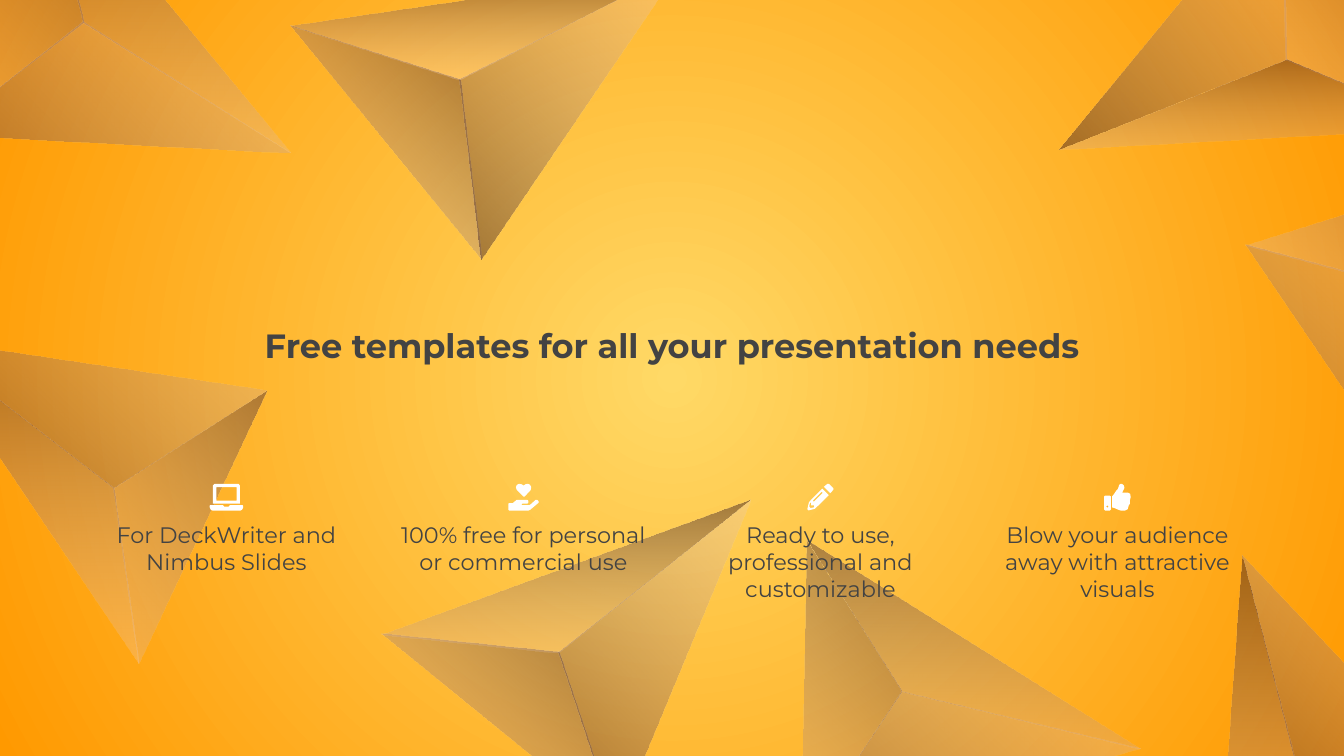
"""Build a golden slide with floating pyramids, a title and four captioned icons."""
from dataclasses import dataclass
from math import cos, radians, sin

from lxml.etree import SubElement
from pptx import Presentation
from pptx.dml.color import RGBColor
from pptx.enum.text import MSO_ANCHOR, MSO_AUTO_SIZE, PP_ALIGN
from pptx.oxml.ns import qn
from pptx.util import Pt


@dataclass(frozen=True)
class Theme:
    font: str = "Montserrat"
    title_size: float = 18
    caption_size: float = 12
    text: str = "434343"
    icon: str = "FFFFFF"
    background: tuple = (("FFD966", 100), ("FF9900", 100))
    face: tuple = (("FFE6F2", 22), ("1D0216", 42))


def set_gradient(fill, element, colours):
    fill.gradient()
    gradient = next(element.iter(qn("a:gradFill")))
    for stop, (colour, opacity) in zip(fill.gradient_stops, colours):
        stop.color.rgb = RGBColor.from_string(colour)
    for colour_element, (colour, opacity) in zip(gradient.iter(qn("a:srgbClr")), colours):
        if opacity < 100:
            SubElement(colour_element, qn("a:alpha"), val=str(opacity * 1000))
    return gradient


def draw_outline(slide, contours, left, top):
    builder = slide.shapes.build_freeform(Pt(contours[0][0][0]), Pt(contours[0][0][1]))
    for contour in contours:
        points = [(Pt(x), Pt(y)) for x, y in contour]
        if contour is not contours[0]:
            builder.move_to(*points[0])
        builder.add_line_segments(points[1:], close=True)
    shape = builder.convert_to_shape(Pt(left), Pt(top))
    shape.shadow.inherit = False
    shape.line.fill.background()
    return shape


theme = Theme()
presentation = Presentation()
presentation.slide_width = Pt(720)
presentation.slide_height = Pt(405)
slide = presentation.slides.add_slide(presentation.slide_layouts[5])

background = set_gradient(slide.background.fill, slide.element, theme.background)
background.remove(background.find(qn("a:lin")))
circle = SubElement(background, qn("a:path"), path="circle")
SubElement(circle, qn("a:fillToRect"), l="50000", t="50000", r="50000", b="50000")

west, south, apex, east = (-104, -47.5), (-1.8, 77.8), (-13.3, -18.7), (104, -77.8)
faces = [((west, south, apex), 315), ((south, east, apex), 135), ((west, apex, east), 270)]
pyramids = [
    (719.3, 416, 282.3, faces[1:]),
    (259.6, 61.2, 0, faces),
    (35.3, 32.8, 58.8, faces),
    (677.5, 12, 185.1, faces),
    (738.7, 161.6, 111.7, faces),
    (72, 241.2, 244.3, faces),
    (316, 365, 348.3, faces),
    (481.2, 393.2, 40.2, faces),
]
for center_x, center_y, rotation, visible_faces in pyramids:
    cosine, sine = cos(radians(rotation)), sin(radians(rotation))
    for points, angle in visible_faces:
        x, y = [(min(values) + max(values)) / 2 for values in zip(*points)]
        left = center_x + x * cosine - y * sine - x
        top = center_y + x * sine + y * cosine - y
        shape = draw_outline(slide, [points], left, top)
        shape.rotation = rotation
        gradient = set_gradient(shape.fill, shape.element, theme.face)
        gradient.set("rotWithShape", "0")
        shape.fill.gradient_angle = 360 - angle

laptop = [
    [(3.6, 1.8), (14.4, 1.8), (14.4, 9), (3.6, 9)],
    [(2.6, 0), (1.8, 0.9), (1.8, 10.6), (16.2, 10.6), (16.2, 0.9), (15.4, 0)],
    [(0.3, 11.5), (0, 11.8), (0, 12.6), (0.6, 13.9), (1.6, 14.4), (16.4, 14.4), (17.4, 13.9),
     (18, 12.6), (18, 11.8), (17.7, 11.5), (10.8, 11.5), (10.2, 12.3), (7.8, 12.3), (7.2, 11.5)],
]
giving_hand = [
    [(5.8, 0), (4.6, 0.6), (4.1, 1.8), (4.5, 3.2), (8.1, 6.9), (8.7, 6.9), (12, 3.4),
     (12.3, 1.8), (11.6, 0.5), (10.4, 0), (9.2, 0.3), (8.2, 1), (7.2, 0.3)],
    [(5.8, 8.6), (4.4, 8.7), (2.4, 10.4), (0.4, 10.4), (0, 10.8), (0, 13.9), (0.5, 14.4),
     (10.8, 14.4), (11.8, 13.9), (16.2, 10.2), (16.2, 9.3), (15.5, 8.7), (14.6, 8.7),
     (12, 11), (11.2, 11.5), (7.4, 11.5), (7.1, 11.1), (7.5, 10.7), (10.2, 10.7),
     (10.8, 10), (10.6, 8.8), (9.8, 8.6)],
]
pencil = [
    [(10.8, 0), (11.6, 0), (14, 2.4), (14, 3.2), (12.3, 5), (8.9, 1.6)],
    [(7.6, 4.3), (8.2, 4.9), (3.8, 9.4), (3.1, 9.4), (3.1, 8.8)],
    [(2, 10), (2, 11.6), (3.6, 11.6), (3.7, 12.6), (1.7, 13), (1, 12.3), (1.4, 10.3)],
    [(8, 2.6), (0.9, 9.8), (0, 13.6), (0.6, 14.3), (4.1, 13.4), (11.5, 6.1)],
]
thumb = [
    [(1.7, 11.6), (2.4, 12.2), (1.7, 12.9), (1, 12.2)],
    [(0.4, 6.4), (0, 6.8), (0, 13.9), (0.5, 14.4), (3, 14.4), (3.5, 13.9), (3.5, 6.8), (3, 6.4)],
    [(8.8, 0), (8, 0.6), (7.4, 2.6), (6.4, 3.8), (4.9, 6), (4.3, 6.6), (4.3, 12.7),
     (5.4, 13), (8, 14.1), (9, 14.4), (11, 14.4), (12.6, 13.6), (13.1, 11.7), (13.8, 10.6),
     (13.7, 9), (14.2, 7.2), (13.9, 5.4), (12.8, 4.8), (9.6, 4.8), (10.2, 3.6),
     (10.8, 2.2), (10.5, 0.9), (9.6, 0.1)],
]
features = [
    ("For DeckWriter and Nimbus Slides", laptop, 18),
    ("100% free for personal or commercial use", giving_hand, 16.2),
    ("Ready to use, professional and customizable", pencil, 14),
    ("Blow your audience away with attractive visuals", thumb, 14.2),
]
title = slide.shapes.title
title.left, title.top, title.width, title.height = Pt(87.1), Pt(174.2), Pt(545.8), Pt(20.9)
title.text_frame.text = "Free templates for all your presentation needs"
text_shapes = [(title, theme.title_size, True)]

caption_left, caption_width, caption_step = 54.7, 133.2, 159.12
for index, (caption, contours, icon_width) in enumerate(features):
    left = caption_left + index * caption_step
    box = slide.shapes.add_textbox(Pt(left), Pt(279.4), Pt(caption_width), Pt(50.4))
    box.text_frame.text = caption
    text_shapes.append((box, theme.caption_size, False))
    icon = draw_outline(slide, contours, left + (caption_width - icon_width) / 2, 259.2)
    icon.fill.solid()
    icon.fill.fore_color.rgb = RGBColor.from_string(theme.icon)

for shape, size, bold in text_shapes:
    frame = shape.text_frame
    frame.word_wrap = True
    frame.auto_size = MSO_AUTO_SIZE.NONE
    frame.vertical_anchor = MSO_ANCHOR.TOP
    frame.margin_left = frame.margin_right = frame.margin_top = frame.margin_bottom = Pt(0)
    paragraph = frame.paragraphs[0]
    paragraph.alignment = PP_ALIGN.CENTER
    font = paragraph.runs[0].font
    font.name, font.size, font.bold = theme.font, Pt(size), bold
    font.color.rgb = RGBColor.from_string(theme.text)

presentation.save("out.pptx")
